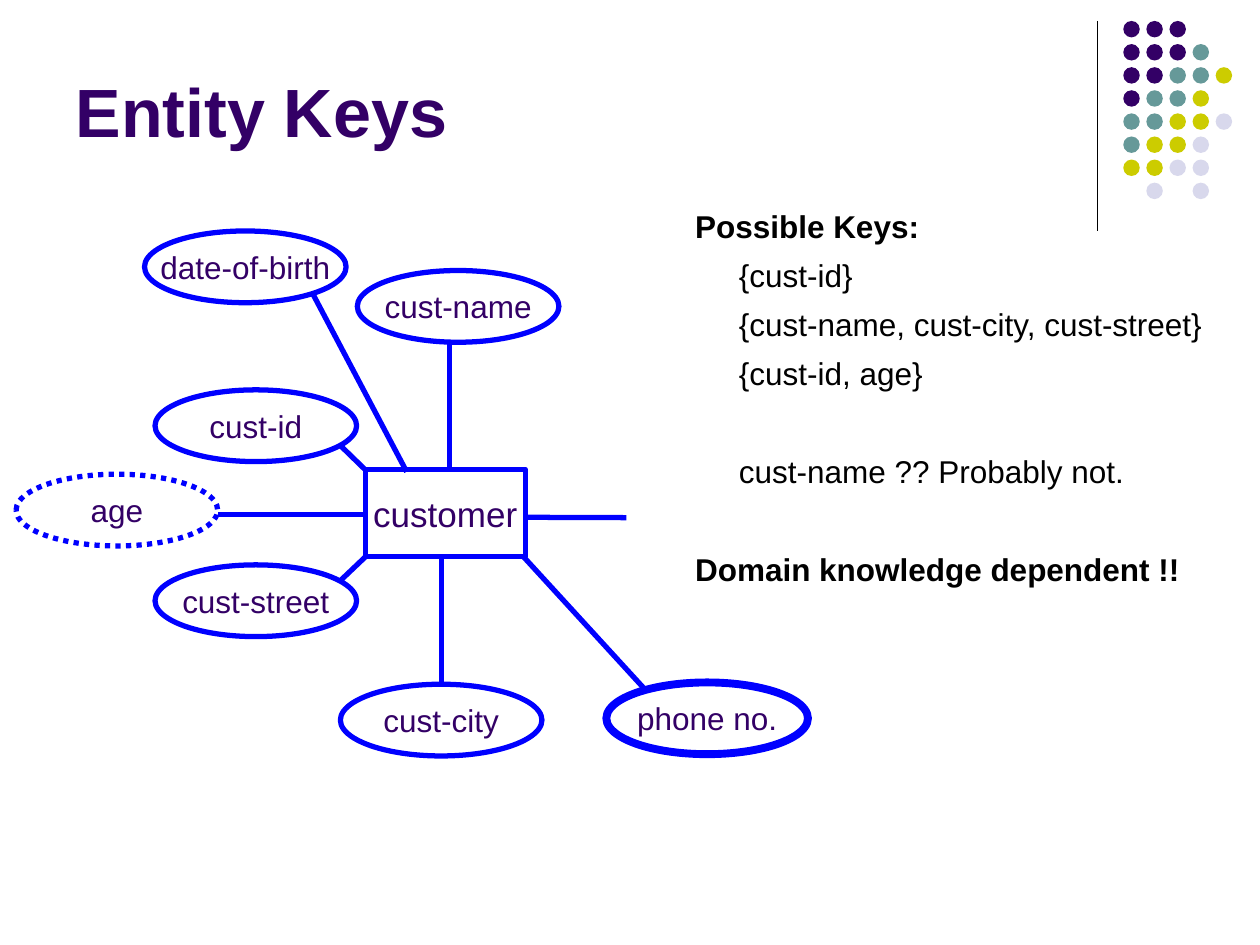
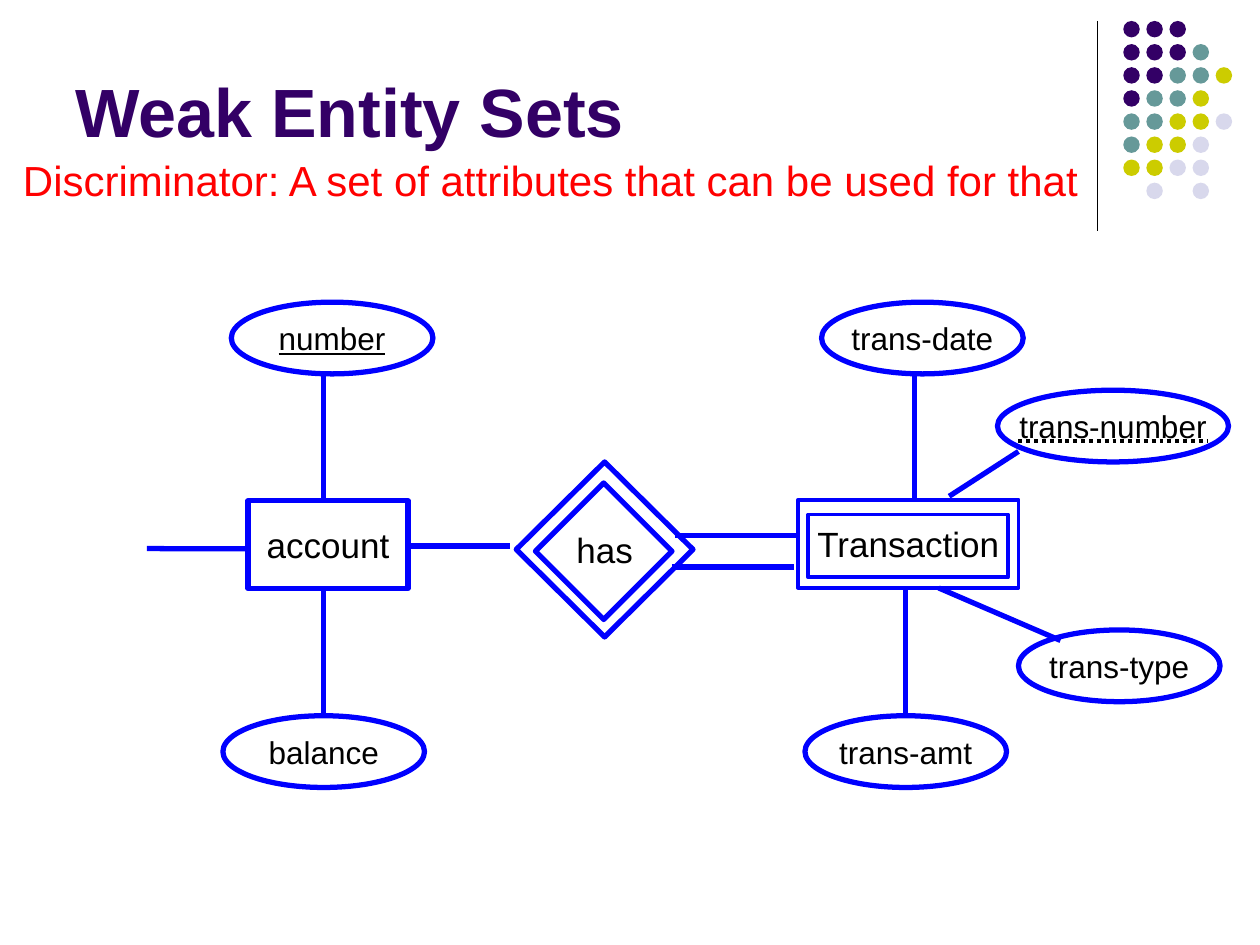
from dataclasses import dataclass

from lxml import etree
from pptx import Presentation
from pptx.dml.color import RGBColor
from pptx.enum.dml import MSO_LINE
from pptx.enum.shapes import MSO_CONNECTOR, MSO_SHAPE
from pptx.enum.text import MSO_ANCHOR, MSO_AUTO_SIZE, PP_ALIGN
from pptx.oxml.ns import qn
from pptx.util import Pt

OVAL, RECTANGLE, DIAMOND = MSO_SHAPE.OVAL, MSO_SHAPE.RECTANGLE, MSO_SHAPE.DIAMOND
STRAIGHT = MSO_CONNECTOR.STRAIGHT
DOTTED = MSO_LINE.ROUND_DOT
LEFT, CENTER = PP_ALIGN.LEFT, PP_ALIGN.CENTER
MIDDLE, BOTTOM, TOP = MSO_ANCHOR.MIDDLE, MSO_ANCHOR.BOTTOM, MSO_ANCHOR.TOP
NO_AUTOFIT = MSO_AUTO_SIZE.NONE

TITLE_AND_BODY, TITLE_ONLY = 1, 5
FONT = "Arial"
COLORS = {
    "purple": "330066",
    "teal": "669999",
    "yellow": "CCCC00",
    "lavender": "D8D8EC",
    "blue": "0000FF",
    "red": "FF0000",
    "black": "000000",
}

DOT_ROWS = ["ppp", "pppt", "pptty", "ptty", "ttyyl", "tyyl", "yyll", " l l"]
DOT_COLORS = {"p": "purple", "t": "teal", "y": "yellow", "l": "lavender"}
DOT_LEFT, DOT_TOP, DOT_SIZE, DOT_PITCH = 641.9, 12, 9.4, 13.2


@dataclass
class Node:
    """An entity, attribute or relationship; attributes are the default."""
    label: str
    left: float
    top: float
    width: float = 115.2
    height: float = 41
    outline: MSO_SHAPE = OVAL
    size: float = 18
    weight: float = 3
    dotted: bool = False
    underline: bool = False


@dataclass
class Link:
    x1: float
    y1: float
    x2: float
    y2: float
    color: str = "blue"
    weight: float = 3
    dotted: bool = False


@dataclass
class KeyLine:
    text: str
    heading: bool = False
    gap: float = 0


CUSTOMER_NODES = [
    Node("customer", 208.8, 268.2, 91.4, 50, RECTANGLE, size=20),
    Node("cust-street", 88.6, 322.8),
    Node("cust-id", 88.6, 222.8),
    Node("cust-name", 204.2, 154.6),
    Node("cust-city", 194.5, 391),
    Node("phone no.", 346.5, 390, weight=4.5),
    Node("age", 9.2, 271, dotted=True),
    Node("date-of-birth", 82.6, 132),
]
CUSTOMER_LINKS = [
    Link(300.2, 295.6, 358, 295.8),
    Link(257, 195.8, 257, 268.5),
    Link(252.2, 318.2, 252.2, 391),
    Link(194.5, 254.6, 208.8, 268.5),
    Link(208.8, 318.2, 194.5, 331.8),
    Link(299, 318, 369.5, 395),
    Link(208.8, 294, 124.6, 294),
    Link(232.4, 269.6, 178.8, 168),
]
KEY_LINES = [
    KeyLine("Possible Keys:", heading=True),
    KeyLine("{cust-id}"),
    KeyLine("{cust-name, cust-city, cust-street}"),
    KeyLine("{cust-id, age}"),
    KeyLine("cust-name ?? Probably not.", gap=28),
    KeyLine("Domain knowledge dependent !!", heading=True, gap=28),
]

WEAK_NODES = [
    Node("account", 141.8, 286.2, 91.4, 50, RECTANGLE, size=20),
    Node("balance", 127.4, 409),
    Node("number", 132.2, 172.7, underline=True),
    Node("Transaction", 456, 285.6, 126, 50.2, RECTANGLE, size=20, weight=2.25),
    Node("", 462, 294, 114, 36, RECTANGLE, weight=2.25),
    Node("has", 295, 264, 101, 100, DIAMOND, size=20),
    Node("", 306, 276, 78, 78, DIAMOND),
    Node("trans-type", 582, 360),
    Node("trans-number", 570, 223, width=132),
    Node("trans-date", 469.5, 172.7),
    Node("trans-amt", 460, 409),
]
WEAK_LINKS = [
    Link(84, 313.5, 141.8, 313.6),
    Link(185, 336.2, 185, 409),
    Link(185, 213.8, 185, 286.2),
    Link(234, 312, 291.6, 312),
    Link(522.4, 213.8, 522.4, 286.2),
    Link(517.6, 336.2, 517.6, 409),
    Link(582, 258, 542.4, 283.6),
    Link(536.4, 336, 606, 366),
    Link(386, 306, 456, 306),
    Link(384, 324, 453.6, 324),
    Link(582, 252, 690, 252, "black", 2.25, True),
]


def rgb(name: str) -> RGBColor:
    return RGBColor.from_string(COLORS[name])


def place(shape, left: float, top: float, width: float, height: float) -> None:
    shape.left, shape.top = Pt(left), Pt(top)
    shape.width, shape.height = Pt(width), Pt(height)


def style_paragraph(para, size: float, color: str, align=LEFT,
                    bold: bool = False, underline: bool = False) -> None:
    para.alignment = align
    font = para.font
    font.name, font.size = FONT, Pt(size)
    font.bold, font.underline = bold, underline
    font.color.rgb = rgb(color)


def set_frame(box, anchor, wrap: bool = True):
    frame = box.text_frame
    frame.auto_size = NO_AUTOFIT
    frame.word_wrap = wrap
    frame.vertical_anchor = anchor
    return frame


def draw_link(page, link: Link) -> None:
    connector = page.shapes.add_connector(
        STRAIGHT, Pt(link.x1), Pt(link.y1), Pt(link.x2), Pt(link.y2))
    connector.line.color.rgb = rgb(link.color)
    connector.line.width = Pt(link.weight)
    if link.dotted:
        connector.line.dash_style = DOTTED
    etree.SubElement(connector._element.spPr, qn("a:effectLst"))


def draw_node(page, node: Node, ink: str) -> None:
    shape = page.shapes.add_shape(node.outline, Pt(node.left), Pt(node.top),
                                  Pt(node.width), Pt(node.height))
    shape.shadow.inherit = False
    shape.fill.background()
    shape.line.color.rgb = rgb("blue")
    shape.line.width = Pt(node.weight)
    if node.dotted:
        shape.line.dash_style = DOTTED
    if node.label:
        para = set_frame(shape, MIDDLE, wrap=False).paragraphs[0]
        para.text = node.label
        style_paragraph(para, node.size, ink, CENTER, underline=node.underline)


def draw_corner_dots(page) -> None:
    draw_link(page, Link(627, 12, 627, 132, "black", 0.75))
    for row, codes in enumerate(DOT_ROWS):
        for column, code in enumerate(codes):
            if code not in DOT_COLORS:
                continue
            dot = page.shapes.add_shape(
                OVAL, Pt(DOT_LEFT + column * DOT_PITCH),
                Pt(DOT_TOP + row * DOT_PITCH), Pt(DOT_SIZE), Pt(DOT_SIZE))
            dot.shadow.inherit = False
            dot.fill.solid()
            dot.fill.fore_color.rgb = rgb(DOT_COLORS[code])
            dot.line.fill.background()


def add_page(deck, layout: int, title: str):
    page = deck.slides.add_slide(deck.slide_layouts[layout])
    box = page.shapes.title
    place(box, 36, 9.4, 594, 80.6)
    para = set_frame(box, BOTTOM).paragraphs[0]
    para.text = title
    style_paragraph(para, 39, "purple", bold=True)
    draw_corner_dots(page)
    return page


def draw_diagram(page, nodes: list[Node], links: list[Link], ink: str) -> None:
    for node in nodes:
        draw_node(page, node, ink)
    for link in links:
        draw_link(page, link)


def fill_key_list(box, lines: list[KeyLine]) -> None:
    place(box, 390, 108, 312, 232)
    frame = set_frame(box, TOP)
    for index, line in enumerate(lines):
        para = frame.add_paragraph() if index else frame.paragraphs[0]
        para.text = line.text
        properties = para._p.get_or_add_pPr()
        properties.set("marL", str(Pt(0 if line.heading else 25)))
        properties.set("indent", "0")
        etree.SubElement(properties, qn("a:buNone"))
        para.line_spacing = Pt(28)
        para.space_before = Pt(line.gap)
        style_paragraph(para, 18, "black", bold=line.heading)


def build_entity_keys(deck) -> None:
    page = add_page(deck, TITLE_AND_BODY, "Entity Keys")
    draw_diagram(page, CUSTOMER_NODES, CUSTOMER_LINKS, "purple")
    fill_key_list(page.placeholders[1], KEY_LINES)


def build_weak_entity_sets(deck) -> None:
    page = add_page(deck, TITLE_ONLY, "Weak Entity Sets")
    draw_diagram(page, WEAK_NODES, WEAK_LINKS, "black")
    box = page.shapes.add_textbox(Pt(6), Pt(85), Pt(660), Pt(36))
    para = set_frame(box, TOP).paragraphs[0]
    para.text = "Discriminator: A set of attributes that can be used for that"
    style_paragraph(para, 24, "red")


def main() -> None:
    deck = Presentation()
    deck.slide_width, deck.slide_height = Pt(720), Pt(540)
    build_entity_keys(deck)
    build_weak_entity_sets(deck)
    deck.save("out.pptx")


if __name__ == "__main__":
    main()
